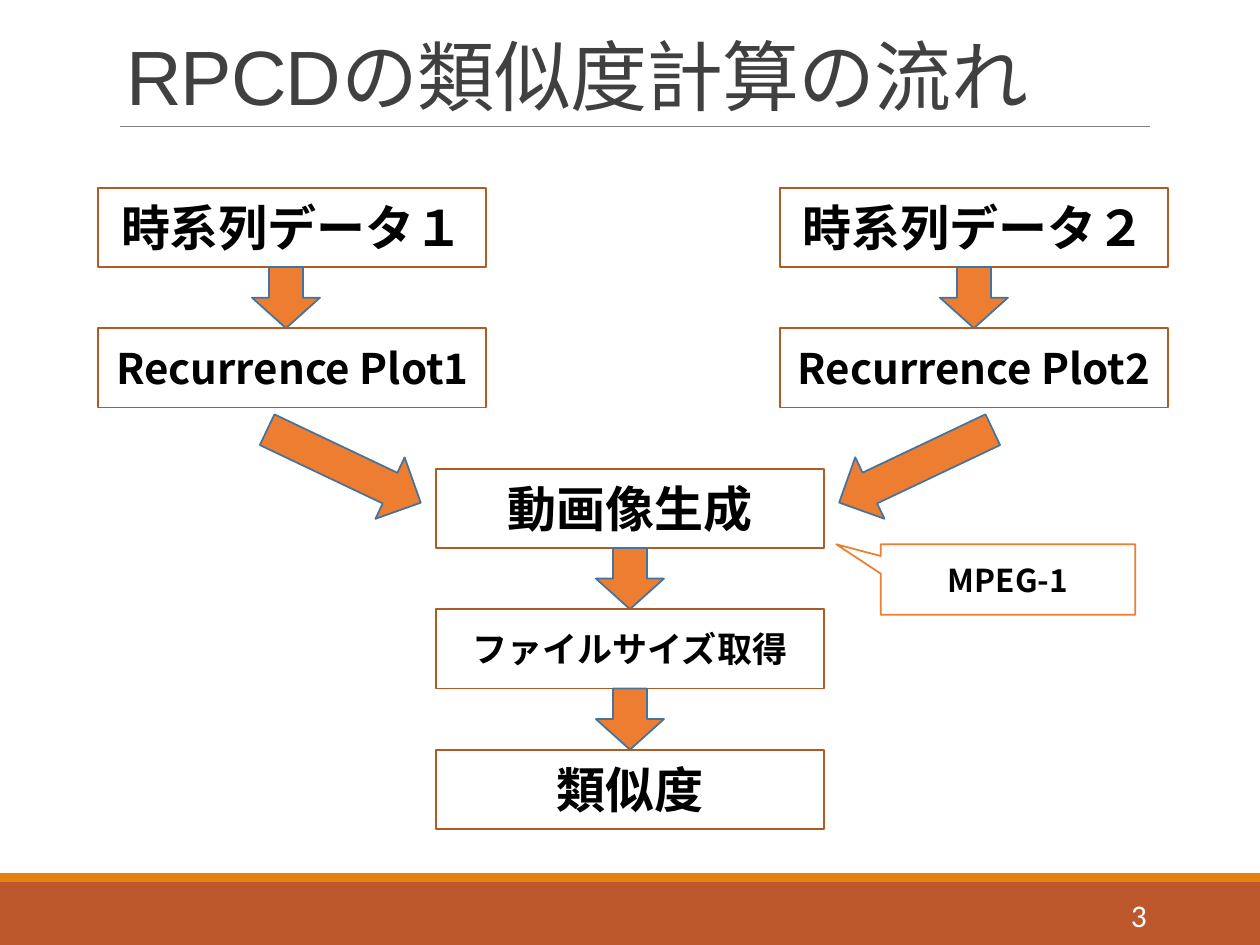
"""Build the slide showing the flow of the RPCD similarity calculation."""
from dataclasses import dataclass
from typing import Optional

import pptx
import pptx.dml.color
import pptx.enum.shapes
import pptx.enum.text
import pptx.oxml.ns
import pptx.shapes.autoshape
import pptx.text.text
import pptx.util
from lxml import etree

RGBColor = pptx.dml.color.RGBColor
SHAPE = pptx.enum.shapes.MSO_SHAPE
ALIGN = pptx.enum.text.PP_ALIGN
ANCHOR = pptx.enum.text.MSO_ANCHOR

BLACK = RGBColor(0x00, 0x00, 0x00)
WHITE = RGBColor(0xFF, 0xFF, 0xFF)
TITLE_GREY = RGBColor(0x40, 0x40, 0x40)
RULE_GREY = RGBColor(0x80, 0x80, 0x80)
FOOTER_BROWN = RGBColor(0xBD, 0x58, 0x2C)
FOOTER_ORANGE = RGBColor(0xE4, 0x83, 0x12)
BOX_BROWN = RGBColor(0xAF, 0x5C, 0x24)
ARROW_ORANGE = RGBColor(0xED, 0x7D, 0x31)
ARROW_BLUE = RGBColor(0x43, 0x73, 0x9E)

WIDTH, HEIGHT = 10, 7.5
MIDDLE = WIDTH / 2
COLUMN_CENTRES = (2.32, MIDDLE, 7.73)
ARROW_CENTRES = (2.27, MIDDLE, 7.73)
TOP, ROW_PITCH = 1.49, 1.115
BOX_WIDTH, BOX_HEIGHT = 3.08, 0.63
ARROW_WIDTH, LONG_ARROW = 0.54, 1.35
BODY_FONT = "Noto Sans CJK JP"


@dataclass(frozen=True)
class Area:
    left: float
    top: float
    width: float
    height: float

    def lengths(self) -> tuple:
        return tuple(map(pptx.util.Inches, (self.left, self.top, self.width, self.height)))


@dataclass(frozen=True)
class Step:
    column: int
    row: int
    text: str
    size: int = 28
    arrow_below: bool = False


@dataclass(frozen=True)
class SlantedArrow:
    centre_x: float
    centre_y: float
    rotation: float


STEPS = (
    Step(0, 0, "時系列データ１", arrow_below=True),
    Step(2, 0, "時系列データ２", arrow_below=True),
    Step(0, 1, "Recurrence Plot1", 24),
    Step(2, 1, "Recurrence Plot2", 24),
    Step(1, 2, "動画像生成", arrow_below=True),
    Step(1, 3, "ファイルサイズ取得", 20, arrow_below=True),
    Step(1, 4, "類似度"),
)
SLANTED_ARROWS = (SlantedArrow(2.73, 3.7, -64.6), SlantedArrow(7.27, 3.7, 64.6))


def add_span(para: pptx.text.text._Paragraph, text: str, color: RGBColor, **formats) -> pptx.text.text._Run:
    """Add a run to a paragraph with the given font formats."""
    span = para.add_run()
    span.text = text
    span.font.color.rgb = color
    for name, value in formats.items():
        setattr(span.font, name, value)
    east_asian = etree.SubElement(span.font._element, pptx.oxml.ns.qn("a:ea"))
    east_asian.set("typeface", BODY_FONT)
    return span


def add_shape(page, kind, area: Area, fill: Optional[RGBColor] = None,
              line: Optional[RGBColor] = None) -> pptx.shapes.autoshape.Shape:
    """Add a preset shape without a shadow."""
    shape = page.shapes.add_shape(kind, *area.lengths())
    shape.shadow.inherit = False
    for part, color in ((shape.fill, fill), (shape.line.fill, line)):
        if color is None:
            part.background()
        else:
            part.solid()
            part.fore_color.rgb = color
    if line is not None:
        shape.line.width = pptx.util.Pt(1)
    return shape


def add_label(shape: pptx.shapes.autoshape.Shape, text: str, size: int) -> None:
    """Write bold centred text in a shape."""
    frame = shape.text_frame
    frame.word_wrap = True
    frame.vertical_anchor = ANCHOR.MIDDLE
    para = frame.paragraphs[0]
    para.alignment = ALIGN.CENTER
    add_span(para, text, BLACK, name=BODY_FONT, size=pptx.util.Pt(size), bold=True)


def add_arrow(page, area: Area, rotation: float = 0) -> None:
    """Add a block arrow turned from pointing down."""
    arrow = add_shape(page, SHAPE.DOWN_ARROW, area, ARROW_ORANGE, ARROW_BLUE)
    arrow.rotation = rotation


def add_step(page, step: Step) -> None:
    """Add a box of the flow and the arrow leading down from it."""
    top = TOP + step.row * ROW_PITCH
    left = COLUMN_CENTRES[step.column] - BOX_WIDTH / 2
    box = add_shape(page, SHAPE.RECTANGLE, Area(left, top, BOX_WIDTH, BOX_HEIGHT), line=BOX_BROWN)
    add_label(box, step.text, step.size)
    if step.arrow_below:
        arrow_left = ARROW_CENTRES[step.column] - ARROW_WIDTH / 2
        add_arrow(page, Area(arrow_left, top + BOX_HEIGHT, ARROW_WIDTH, ROW_PITCH - BOX_HEIGHT))


def add_frame(page) -> None:
    """Add the footer bands, the rule under the title and the page number."""
    add_shape(page, SHAPE.RECTANGLE, Area(0, 7, WIDTH, 0.5), FOOTER_BROWN)
    add_shape(page, SHAPE.RECTANGLE, Area(0, 6.93, WIDTH, 0.07), FOOTER_ORANGE)
    ends = map(pptx.util.Inches, (0.95, 1, 9.13, 1))
    rule = page.shapes.add_connector(pptx.enum.shapes.MSO_CONNECTOR.STRAIGHT, *ends)
    rule.line.color.rgb = RULE_GREY
    rule.line.width = pptx.util.Pt(0.5)
    etree.SubElement(rule._element.spPr, pptx.oxml.ns.qn("a:effectLst"))
    number = page.shapes.add_textbox(*Area(8.12, 7.06, 1.08, 0.4).lengths())
    number.text_frame.word_wrap = True
    number.text_frame.vertical_anchor = ANCHOR.MIDDLE
    para = number.text_frame.paragraphs[0]
    para.alignment = ALIGN.RIGHT
    add_span(para, "3", WHITE, name="Calibri", size=pptx.util.Pt(18))


def add_title(page) -> None:
    """Place the title and write it in its two fonts."""
    title = page.shapes.title
    area = Area(0.9, 0.09, 8.25, 0.92)
    for name, value in zip(("left", "top", "width", "height"), area.lengths()):
        setattr(title, name, value)
    frame = title.text_frame
    frame.word_wrap = True
    frame.auto_size = pptx.enum.text.MSO_AUTO_SIZE.NONE
    frame.vertical_anchor = ANCHOR.BOTTOM
    para = frame.paragraphs[0]
    para.alignment = ALIGN.LEFT
    para.line_spacing = 0.85
    for text, font in (("RPCD", "Arial"), ("の類似度計算の流れ", "Calibri")):
        span = add_span(para, text, TITLE_GREY, name=font, size=pptx.util.Pt(44))
        span.font._element.set("spc", "-50")


def main() -> None:
    """Build and save the deck."""
    deck = pptx.Presentation()
    deck.slide_width, deck.slide_height = map(pptx.util.Inches, (WIDTH, HEIGHT))
    page = deck.slides.add_slide(deck.slide_layouts[5])
    add_frame(page)
    add_title(page)
    for step in STEPS:
        add_step(page, step)
    for arrow in SLANTED_ARROWS:
        left, top = arrow.centre_x - ARROW_WIDTH / 2, arrow.centre_y - LONG_ARROW / 2
        add_arrow(page, Area(left, top, ARROW_WIDTH, LONG_ARROW), arrow.rotation)
    callout = add_shape(page, SHAPE.RECTANGULAR_CALLOUT, Area(6.99, 4.32, 2.02, 0.56), line=ARROW_ORANGE)
    callout.adjustments[0], callout.adjustments[1] = -0.675, -0.5
    add_label(callout, "MPEG-1", 18)
    deck.save("out.pptx")


if __name__ == "__main__":
    main()
